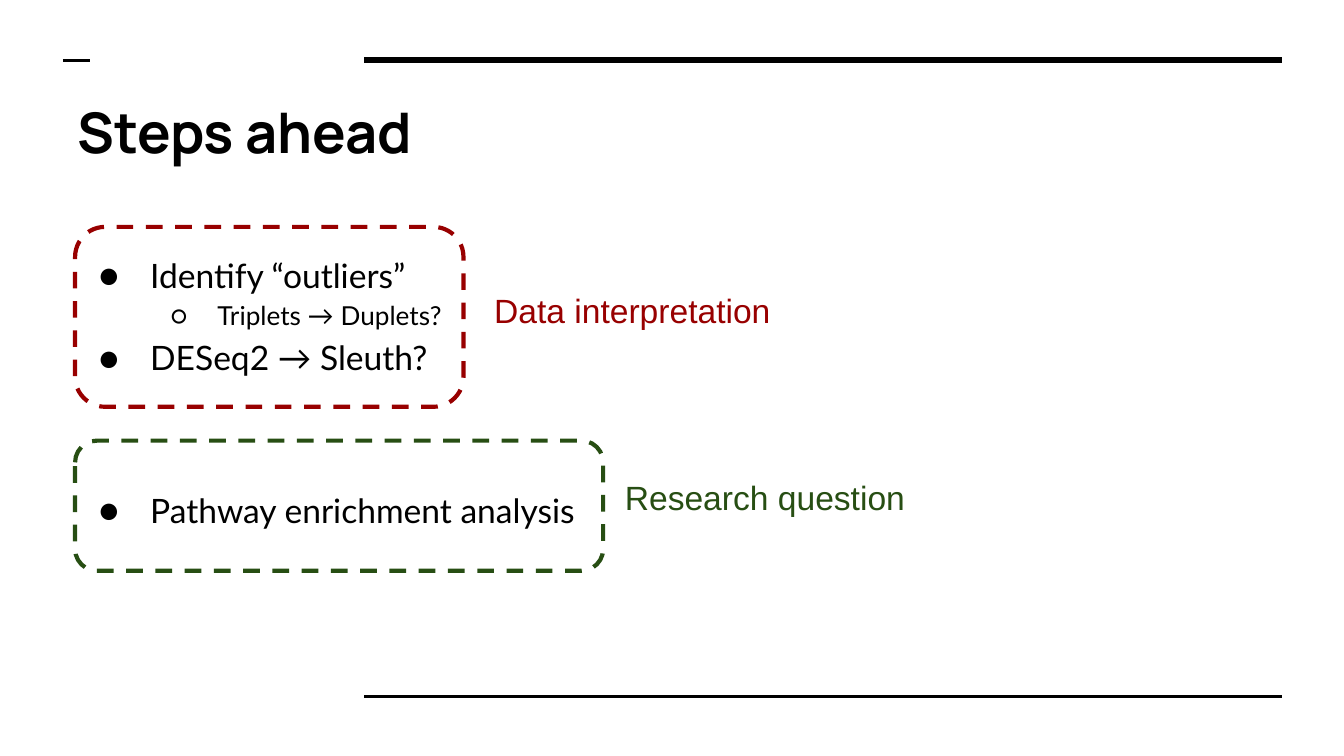
"""Build the "Steps ahead" slide with two outlined groups of tasks."""
from lxml import etree
from pptx import Presentation
from pptx import util as u
from pptx.dml.color import RGBColor
from pptx.enum import dml, shapes, text
from pptx.oxml import ns

BLACK, RED, GREEN = "000000", "980000", "274E13"


def colour(value):
    return RGBColor.from_string(value)


def write(frame, content, font="Arial", size=18, ink=BLACK, bold=False,
          bullet=None, left=0, hanging=0, spacing=1.0, before=0):
    frame.word_wrap = True
    frame.auto_size = text.MSO_AUTO_SIZE.NONE
    frame.vertical_anchor = text.MSO_ANCHOR.TOP
    frame.margin_left = frame.margin_right = u.Cm(0.25)
    frame.margin_top = frame.margin_bottom = u.Cm(0.25)
    para = frame.add_paragraph() if frame.text else frame.paragraphs[0]
    para.alignment = text.PP_ALIGN.LEFT
    para.line_spacing = spacing
    para.space_before = u.Pt(before)
    span = para.add_run()
    span.text = content
    span.font.name, span.font.size, span.font.bold = font, u.Pt(size), bold
    span.font.color.rgb = colour(ink)
    if bullet:
        properties = para._p.get_or_add_pPr()
        properties.set("marL", str(u.Cm(left)))
        properties.set("indent", str(-u.Cm(hanging)))
        tint = etree.SubElement(properties, ns.qn("a:buClr"))
        etree.SubElement(tint, ns.qn("a:srgbClr"), val=ink)
        etree.SubElement(properties, ns.qn("a:buFont"), typeface=font)
        etree.SubElement(properties, ns.qn("a:buChar"), char=bullet)


deck = Presentation()
deck.slide_width, deck.slide_height = u.Cm(25.4), u.Cm(14.29)
page = deck.slides.add_slide(deck.slide_layouts[5])

for start, end, height, weight in [
    (6.88, 24.23, 1.14, 3),
    (6.88, 24.23, 13.16, 1.5),
    (1.19, 1.7, 1.14, 1.5),
]:
    rule = page.shapes.add_connector(
        shapes.MSO_CONNECTOR.STRAIGHT, u.Cm(start), u.Cm(height), u.Cm(end), u.Cm(height))
    rule.line.color.rgb = colour(BLACK)
    rule.line.width = u.Pt(weight)
    etree.SubElement(rule._element.spPr, ns.qn("a:effectLst"))

title = page.shapes.title
title.left, title.top, title.width, title.height = u.Cm(1.22), u.Cm(1.6), u.Cm(17.55), u.Cm(1.75)
write(title.text_frame, "Steps ahead", font="Manrope", size=30, bold=True)

tasks = page.shapes.add_textbox(u.Cm(1.32), u.Cm(4.45), u.Cm(9.98), u.Cm(8.33))
for content, level, before in [
    ("Identify “outliers”", 0, 0),
    ("Triplets → Duplets?", 1, 0),
    ("DESeq2 → Sleuth?", 0, 0),
    ("Pathway enrichment analysis", 0, 57),
]:
    write(tasks.text_frame, content, font="Lato", size=(18, 14)[level],
          bullet="●○"[level], left=1.27 * (level + 1), hanging=(0.97, 0.89)[level],
          spacing=1.15, before=before)

for content, ink, top, width, height, label_left, label_top, label_width in [
    ("Data interpretation", RED, 4.29, 7.34, 3.4, 9.09, 5.23, 13.39),
    ("Research question", GREEN, 8.33, 9.98, 2.46, 11.56, 8.76, 6),
]:
    group = page.shapes.add_shape(
        shapes.MSO_SHAPE.ROUNDED_RECTANGLE, u.Cm(1.42), u.Cm(top), u.Cm(width), u.Cm(height))
    group.shadow.inherit = False
    group.fill.background()
    group.line.color.rgb = colour(ink)
    group.line.width = u.Pt(2.25)
    group.line.dash_style = dml.MSO_LINE.DASH
    label = page.shapes.add_textbox(
        u.Cm(label_left), u.Cm(label_top), u.Cm(label_width), u.Cm(1.55))
    write(label.text_frame, content, ink=ink)

deck.save("out.pptx")
